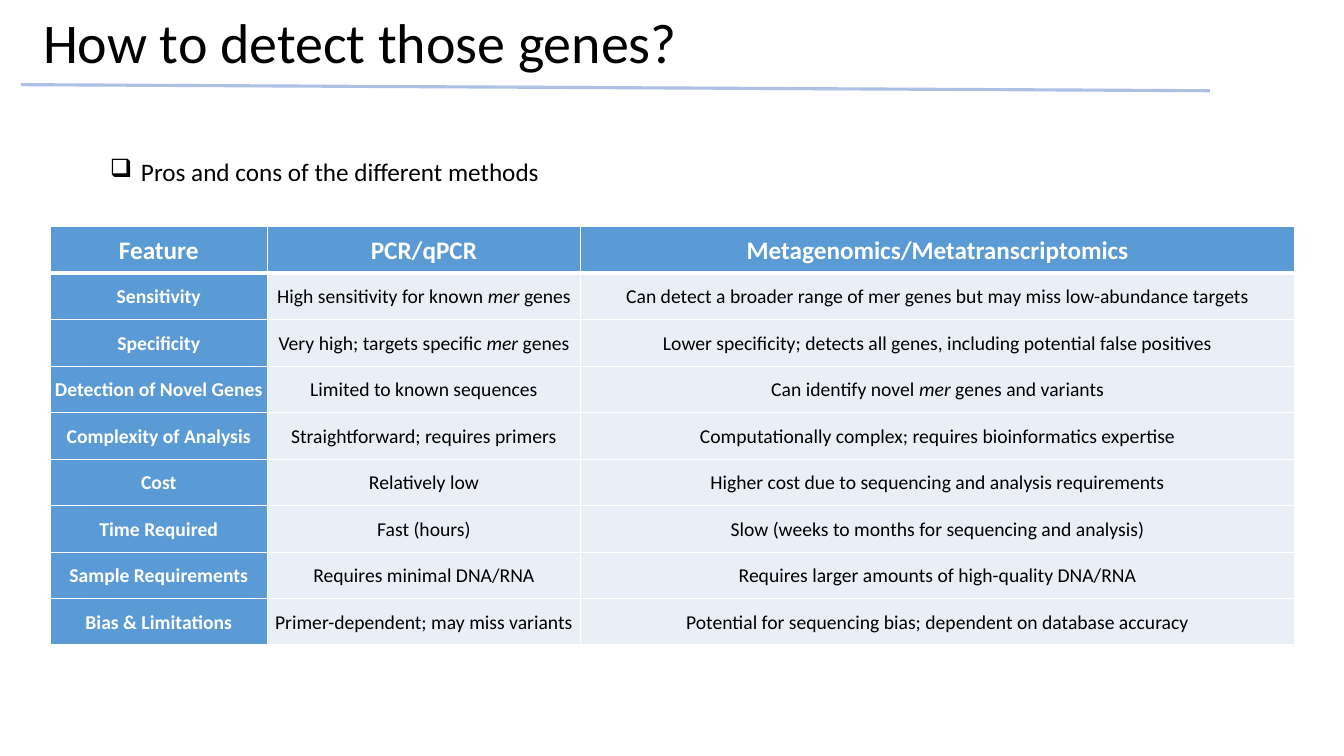
import dataclasses

import lxml.etree
import pptx
import pptx.dml.color
import pptx.enum.shapes
import pptx.enum.text
import pptx.oxml.ns
import pptx.util

Inches = pptx.util.Inches
Points = pptx.util.Pt
qualified = pptx.oxml.ns.qn
Alignment = pptx.enum.text.PP_ALIGN
Anchor = pptx.enum.text.MSO_ANCHOR


@dataclasses.dataclass(frozen=True)
class Theme:
    font: str = "Calibri"
    ink: str = "000000"
    white: str = "FFFFFF"
    rule: str = "4472C4"
    heading_fill: str = "5B9BD5"
    body_fill: str = "EAEFF7"
    title_size: int = 40
    heading_size: int = 18
    body_size: int = 14


theme = Theme()


def add_span(para, text, size, color, bold=False, italic=False):
    span = para.add_run()
    span.text = text
    span.font.name = theme.font
    span.font.size = Points(size)
    span.font.bold = bold
    span.font.italic = italic
    span.font.color.rgb = pptx.dml.color.RGBColor.from_string(color)


def add_border(cell, side, width):
    border = lxml.etree.SubElement(
        cell._tc.get_or_add_tcPr(), qualified(f"a:ln{side}"), w=str(Points(width)))
    fill = lxml.etree.SubElement(border, qualified("a:solidFill"))
    lxml.etree.SubElement(fill, qualified("a:srgbClr"), val=theme.white)


deck = pptx.Presentation()
deck.slide_width = Inches(13.33)
deck.slide_height = Inches(7.5)
page = deck.slides.add_slide(deck.slide_layouts[6])

# Title
title_box = page.shapes.add_textbox(Inches(0.33), Inches(0.27), Inches(11.5), Inches(0.36))
title_box.text_frame.word_wrap = True
title_box.text_frame.vertical_anchor = Anchor.MIDDLE
para = title_box.text_frame.paragraphs[0]
para.line_spacing = 0.9
add_span(para, "How to detect those genes?", theme.title_size, theme.ink)

# Translucent rule under the title
rule = page.shapes.add_connector(
    pptx.enum.shapes.MSO_CONNECTOR.STRAIGHT,
    Inches(0.21), Inches(0.84), Inches(12), Inches(0.9))
rule.line.width = Points(2.25)
rule.line.color.rgb = pptx.dml.color.RGBColor.from_string(theme.rule)
rule_color = rule.line._ln.find(".//" + qualified("a:srgbClr"))
lxml.etree.SubElement(rule_color, qualified("a:alpha"), val="44000")
lxml.etree.SubElement(rule._element.spPr, qualified("a:effectLst"))

# Bulleted subtitle
subtitle_box = page.shapes.add_textbox(Inches(0.99), Inches(1.5), Inches(4.52), Inches(0.4))
subtitle_box.text_frame.word_wrap = False
subtitle_box.text_frame.auto_size = pptx.enum.text.MSO_AUTO_SIZE.SHAPE_TO_FIT_TEXT
para = subtitle_box.text_frame.paragraphs[0]
properties = para._p.get_or_add_pPr()
properties.set("marL", str(Inches(0.31)))
properties.set("indent", str(Inches(-0.31)))
lxml.etree.SubElement(properties, qualified("a:buChar"), char="❑")
add_span(para, "Pros and cons of the different methods", theme.heading_size, theme.ink)

# Comparison table; asterisks enclose italic words
rows = [
    ("Feature", "PCR/qPCR", "Metagenomics/Metatranscriptomics"),
    ("Sensitivity", "High sensitivity for known *mer* genes",
     "Can detect a broader range of mer genes but may miss low-abundance targets"),
    ("Specificity", "Very high; targets specific *mer* genes",
     "Lower specificity; detects all genes, including potential false positives"),
    ("Detection of Novel Genes", "Limited to known sequences",
     "Can identify novel *mer* genes and variants"),
    ("Complexity of Analysis", "Straightforward; requires primers",
     "Computationally complex; requires bioinformatics expertise"),
    ("Cost", "Relatively low", "Higher cost due to sequencing and analysis requirements"),
    ("Time Required", "Fast (hours)", "Slow (weeks to months for sequencing and analysis)"),
    ("Sample Requirements", "Requires minimal DNA/RNA",
     "Requires larger amounts of high-quality DNA/RNA"),
    ("Bias & Limitations", "Primer-dependent; may miss variants",
     "Potential for sequencing bias; dependent on database accuracy"),
]
column_widths = (2.15, 3.11, 7.08)
table = page.shapes.add_table(
    len(rows), len(column_widths),
    Inches(0.5), Inches(2.25), Inches(12.33), Inches(4.15)).table
for column, width in zip(table.columns, column_widths):
    column.width = Inches(width)

for row_index, texts in enumerate(rows):
    for column_index, text in enumerate(texts):
        cell = table.cell(row_index, column_index)
        is_heading = row_index == 0 or column_index == 0
        cell.margin_left = cell.margin_right = cell.margin_top = Inches(0.01)
        cell.margin_bottom = 0
        cell.vertical_anchor = Anchor.MIDDLE

        # White grid, heavier below the header row
        for side, width in (("L", 1), ("R", 1),
                            ("T", 3 if row_index == 1 else 1),
                            ("B", 3 if row_index == 0 else 1)):
            add_border(cell, side, width)
        cell.fill.solid()
        cell.fill.fore_color.rgb = pptx.dml.color.RGBColor.from_string(
            theme.heading_fill if is_heading else theme.body_fill)

        para = cell.text_frame.paragraphs[0]
        para.alignment = Alignment.CENTER
        for part_index, part in enumerate(text.split("*")):
            add_span(para, part,
                     theme.heading_size if row_index == 0 else theme.body_size,
                     theme.white if is_heading else theme.ink,
                     bold=is_heading, italic=part_index % 2 == 1)

deck.save("out.pptx")
